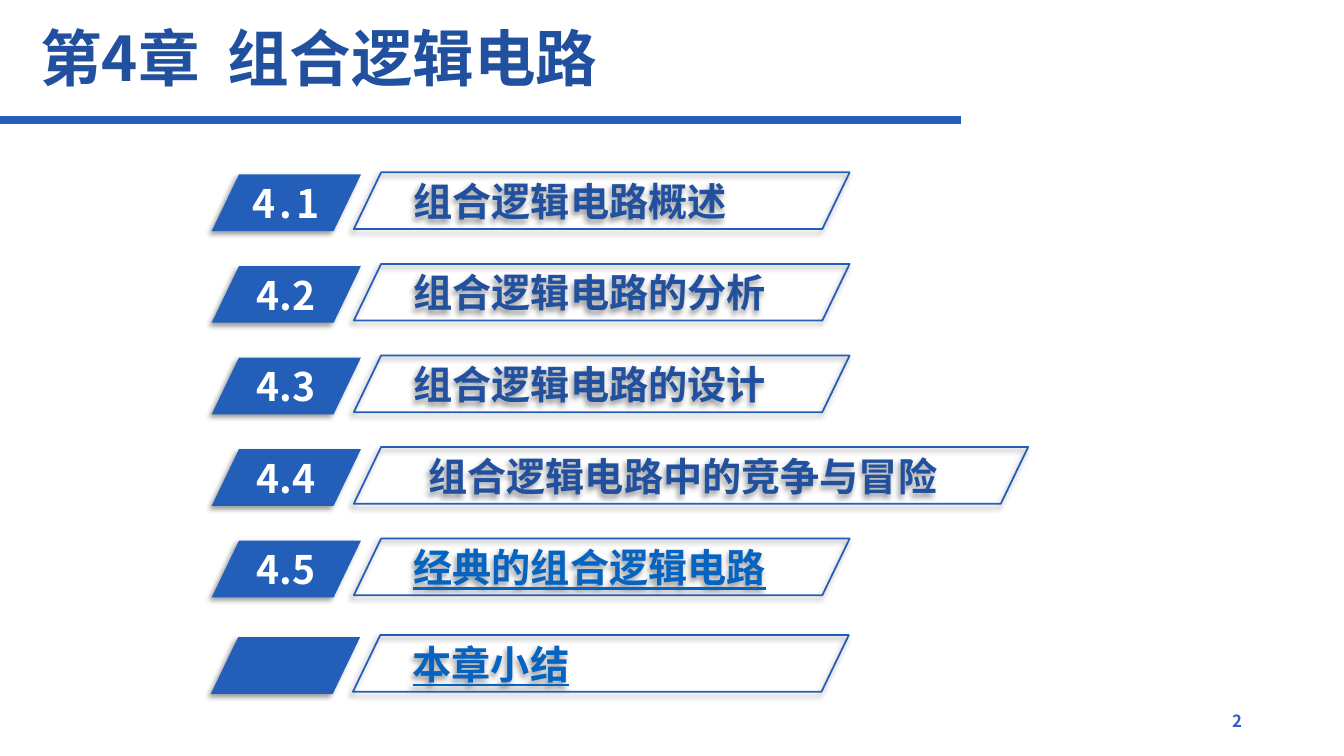
from lxml import etree
from pptx import Presentation
from pptx.dml.color import RGBColor
from pptx.enum import shapes, text
from pptx.oxml import ns
from pptx.util import Pt

FONT = "Noto Sans CJK SC"
BLUE = RGBColor(0x23, 0x5E, 0xB8)
NAVY = RGBColor(0x21, 0x50, 0x9E)
LINK_BLUE = RGBColor(0x05, 0x63, 0xC1)
PAGE_BLUE = RGBColor(0x38, 0x59, 0xCD)
WHITE = RGBColor(0xFF, 0xFF, 0xFF)

SECTIONS = [
    ("4.1", "组合逻辑电路概述"),
    ("4.2", "组合逻辑电路的分析"),
    ("4.3", "组合逻辑电路的设计"),
    ("4.4", "组合逻辑电路中的竞争与冒险"),
    ("4.5", "经典的组合逻辑电路"),
]
SUMMARY = "本章小结"
ROW_PITCH = 65.4
BAR_WIDTH, WIDE_BAR_WIDTH = 354.2, 481.7


def write(frame, words, size, color, align=text.PP_ALIGN.LEFT, underline=None, spacing=0):
    """Append a run to the first paragraph; spacing is in points between letters."""
    frame.vertical_anchor = text.MSO_ANCHOR.MIDDLE
    paragraph = frame.paragraphs[0]
    paragraph.alignment = align
    run = paragraph.add_run()
    run.text = words
    style = {"name": FONT, "size": Pt(size), "bold": True, "underline": underline}
    for key, value in style.items():
        setattr(run.font, key, value)
    run.font.color.rgb = color
    properties = run._r.get_or_add_rPr()
    etree.SubElement(properties, ns.qn("a:ea"), typeface=FONT)
    if spacing:
        properties.set("spc", str(int(spacing * 100)))


def add_frame(slide, left, top, width, height):
    frame = slide.shapes.add_textbox(Pt(left), Pt(top), Pt(width), Pt(height)).text_frame
    frame.word_wrap = True
    return frame


def add_slanted_box(slide, left, top, width, height):
    """Add a parallelogram with a soft shadow to its lower left."""
    box = slide.shapes.add_shape(
        shapes.MSO_SHAPE.PARALLELOGRAM, Pt(left), Pt(top), Pt(width), Pt(height))
    box.adjustments[0] = 0.482
    box.shadow.inherit = False
    effects = box._element.spPr.find(ns.qn("a:effectLst"))
    shadow = etree.SubElement(
        effects, ns.qn("a:outerShdw"), blurRad=str(Pt(4)), dist=str(Pt(3)),
        dir=str(135 * 60000), algn="tr", rotWithShape="0")
    black = etree.SubElement(shadow, ns.qn("a:srgbClr"), val="000000")
    etree.SubElement(black, ns.qn("a:alpha"), val="40000")
    return box


def add_heading(slide, left, top, width, height):
    heading = add_frame(slide, left, top, width, height)
    for words, spacing in (("第4章", 0), (" ", 10), ("组合逻辑电路", 0)):
        write(heading, words, 44, NAVY, spacing=spacing)


def add_rule(slide, left, top, width):
    rule = slide.shapes.add_connector(
        shapes.MSO_CONNECTOR.STRAIGHT, Pt(left), Pt(top), Pt(left + width), Pt(top))
    rule.line.color.rgb = BLUE
    rule.line.width = Pt(6)
    etree.SubElement(rule._element.spPr, ns.qn("a:effectLst"))


def add_entry(slide, left, top, number, title, bar_width=BAR_WIDTH,
              linked=False, spacing=0):
    """Add a numbered badge with its outlined title bar."""
    badge = add_slanted_box(slide, left, top + 1.5, 106.6, 40.5)
    badge.fill.solid()
    badge.fill.fore_color.rgb = BLUE
    badge.line.fill.background()
    if number:
        write(badge.text_frame, number, 28, WHITE, text.PP_ALIGN.CENTER, spacing=spacing)

    bar = add_slanted_box(slide, left + 101.5, top, bar_width, 40.5)
    bar.fill.background()
    bar.line.color.rgb = BLUE
    bar.line.width = Pt(1.25)
    margins = {"margin_left": 5, "margin_right": 5, "margin_top": 3, "margin_bottom": 3}
    for side, margin in margins.items():
        setattr(bar.text_frame, side, Pt(margin))
    write(bar.text_frame, title, 28, LINK_BLUE if linked else NAVY,
          underline=linked or None)


def add_contents(slide, left, top):
    for row, (number, title) in enumerate(SECTIONS):
        add_entry(slide, left, top + row * ROW_PITCH, number, title,
                  bar_width=WIDE_BAR_WIDTH if number == "4.4" else BAR_WIDTH,
                  linked=number == "4.5", spacing=3 if number == "4.1" else 0)
    add_entry(slide, left - 0.6, top + 330.5, "", SUMMARY, linked=True)


def add_page_number(slide, left, top, width, height):
    write(add_frame(slide, left, top, width, height), "2", 12, PAGE_BLUE,
          text.PP_ALIGN.RIGHT)


def main():
    deck = Presentation()
    deck.slide_width, deck.slide_height = Pt(960), Pt(540)
    slide = deck.slides.add_slide(deck.slide_layouts[6])
    add_heading(slide, 21.6, 13, 446.4, 54.7)
    add_rule(slide, 0, 85.7, 686.2)
    add_contents(slide, 151.2, 123.1)
    add_page_number(slide, 678.2, 500.4, 216, 28.8)
    deck.save("out.pptx")


if __name__ == "__main__":
    main()
